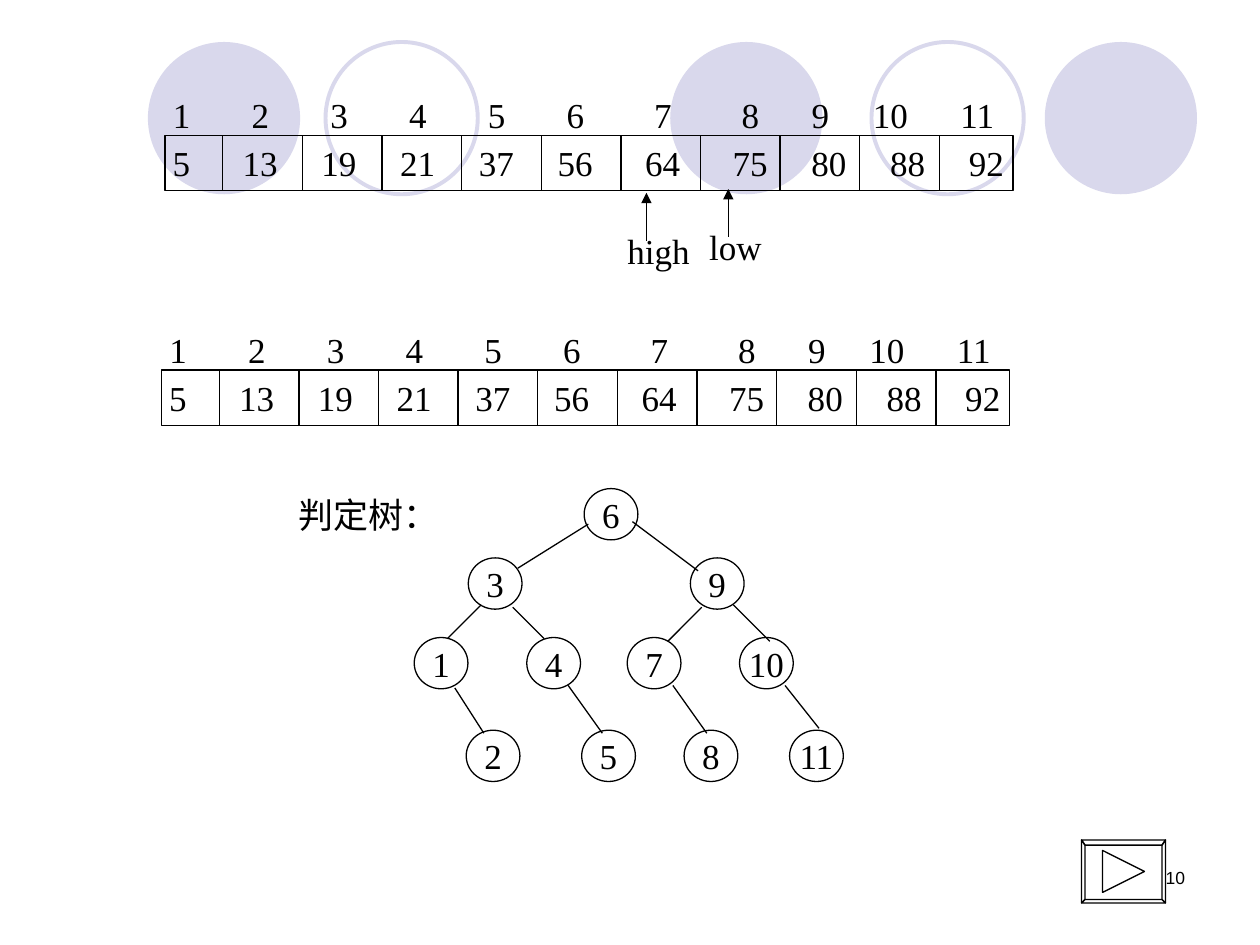
from lxml.etree import SubElement
from pptx import Presentation
from pptx.dml.color import RGBColor
from pptx.enum.shapes import MSO_CONNECTOR as Link, MSO_SHAPE as Kind
from pptx.enum.text import MSO_ANCHOR as Anchor, PP_ALIGN as Align
from pptx.oxml.ns import qn
from pptx.util import Pt

BLACK, LILAC = "000000", "D9D8EC"
SERIF = "Times New Roman"

# Background circles: left, filled
CIRCLES = [(383, True), (597, True), (84.5, True), (498, False), (186, False)]
DISC, DISC_TOP = 87, 24

# Text of each array row with the offset of every entry from the first
INDEX = [(1, 0), (2, 45), (3, 90), (4, 135), (5, 180), (6, 225),
         (7, 275), (8, 325), (9, 365), (10, 400), (11, 450)]
VALUES = [(5, 0), (13, 40), (19, 85), (21, 130), (37, 175), (56, 220),
          (64, 270), (75, 320), (80, 365), (88, 410), (92, 455)]
ARRAYS = [(94.3, 77.3), (92.3, 211.5)]  # left, top of the boxed row
ROW_W, ROW_H, FIRST, PITCH = 484.6, 31.7, 33, 45.5

# Pointers: word, left, top, width, arrow x, arrow tail y, arrow tip y
POINTERS = [("low", 398.2, 125.3, 50, 416.2, 135.4, 108),
            ("high", 351.4, 127.4, 56, 369.4, 137.5, 110.2)]

# Tree levels: top, then (key, left) of each node
TREE = [(279.2, [(6, 333.8)]),
        (318.8, [(3, 267.6), (9, 394.5)]),
        (364.3, [(1, 236.7), (4, 301), (7, 358.4), (10, 422.6)]),
        (417.3, [(2, 266.4), (5, 332.4), (8, 390.9), (11, 451.2)])]
NODE_W, NODE_H = 30.7, 29.3
EDGES = [(336.2, 299.5, 295.9, 324.7), (361.4, 298.1, 398.9, 326.2),
         (275, 345.6, 255.6, 365), (293, 347, 311, 365),
         (401, 347, 381.6, 366.5), (419, 345.6, 439.9, 366.5),
         (259.9, 393.1, 276.5, 419), (324.7, 391.7, 344.2, 419),
         (384.5, 391.7, 403.9, 419), (448.6, 391.7, 468, 416.2)]

# Play button: left, top, right, bottom, bevel
BUTTON = (618, 480.2, 666.2, 516.2, 2.4)
PLAY = [(630, 486.2), (653.8, 498.2), (630, 510.2)]

deck = Presentation()
deck.slide_width, deck.slide_height = Pt(720), Pt(540)
slide = deck.slides.add_slide(deck.slide_layouts[6])
shapes = slide.shapes


def color(text):
    return RGBColor.from_string(text)


def write(shape, text, size=20, face=SERIF, align=Align.LEFT, stops=(), wrap=False):
    """Put one paragraph in a shape, with left tab stops in points."""
    frame = shape.text_frame
    frame.word_wrap = wrap
    para = frame.paragraphs[0]
    para.text = text
    para.alignment = align
    if stops:
        tabs = SubElement(para._p.get_or_add_pPr(), qn("a:tabLst"))
        for stop in stops:
            SubElement(tabs, qn("a:tab"), pos=str(Pt(stop)), algn="l")
    font = para.font
    font.size, font.name = Pt(size), face
    font.color.rgb = color(BLACK)
    return frame


def label(text, x, y, w, h=ROW_H, **style):
    return write(shapes.add_textbox(Pt(x), Pt(y), Pt(w), Pt(h)), text, **style)


def finish(shape, fill=None, line=BLACK, width=0.75):
    shape.shadow.inherit = False
    if fill:
        shape.fill.solid()
        shape.fill.fore_color.rgb = color(fill)
    else:
        shape.fill.background()
    if line:
        shape.line.color.rgb = color(line)
        shape.line.width = Pt(width)
    else:
        shape.line.fill.background()
    return shape


def draw(kind, x, y, w, h, **style):
    return finish(shapes.add_shape(kind, Pt(x), Pt(y), Pt(w), Pt(h)), **style)


def link(x1, y1, x2, y2, arrow=False):
    line = shapes.add_connector(Link.STRAIGHT, Pt(x1), Pt(y1), Pt(x2), Pt(y2))
    line.line.color.rgb = color(BLACK)
    line.line.width = Pt(0.75)
    if arrow:
        SubElement(line.line._get_or_add_ln(), qn("a:tailEnd"), type="triangle")
    SubElement(line._element.spPr, qn("a:effectLst"))


def tabbed(row):
    """Give the text of a row and its tab stops."""
    return "\t".join(str(entry) for entry, _ in row), [at for _, at in row[1:]]


def array(x, y):
    text, stops = tabbed(INDEX)
    label(text, x - 2.6, y - 27.6, 487.4, stops=stops, wrap=True)
    text, stops = tabbed(VALUES)
    box = draw(Kind.RECTANGLE, x, y, ROW_W, ROW_H)
    frame = write(box, text, stops=stops, wrap=True)
    frame.margin_left, frame.margin_right = Pt(4.3), 0
    frame.vertical_anchor = Anchor.MIDDLE
    for col in range(len(VALUES) - 1):
        split = x + FIRST + col * PITCH
        link(split, y, split, y + ROW_H)


def button(x1, y1, x2, y2, rim):
    outer = [(x1, y1), (x2, y1), (x2, y2), (x1, y2)]
    inner = [(x1 + rim, y1 + rim), (x2 - rim, y1 + rim),
             (x2 - rim, y2 - rim), (x1 + rim, y2 - rim)]
    sides = [[outer[i - 1], outer[i], inner[i], inner[i - 1]] for i in range(4)]
    pen = shapes.build_freeform(*PLAY[0], scale=Pt(1))
    pen.add_line_segments(PLAY[1:], close=True)
    for side in sides:
        pen.move_to(*side[0])
        pen.add_line_segments(side[1:], close=True)
    finish(pen.convert_to_shape())


for left, solid in CIRCLES:
    style = dict(fill=LILAC, line=None) if solid else dict(line=LILAC, width=2.25)
    draw(Kind.OVAL, left, DISC_TOP, DISC, DISC, **style)

for left, top in ARRAYS:
    array(left, top)

for word, left, top, width, mid, tail, tip in POINTERS:
    link(mid, tail, mid, tip, arrow=True)
    label(word, left, top, width)

button(*BUTTON)

for top, nodes in TREE:
    for key, left in nodes:
        node = draw(Kind.OVAL, left, top, NODE_W, NODE_H)
        write(node, str(key), align=Align.CENTER).vertical_anchor = Anchor.MIDDLE
for edge in EDGES:
    link(*edge)
label("判定树：", 163.4, 278.6, 100)

label("10", 516.2, 491.8, 168, 36, size=10, face="Arial", align=Align.RIGHT, wrap=True)

deck.save("out.pptx")
